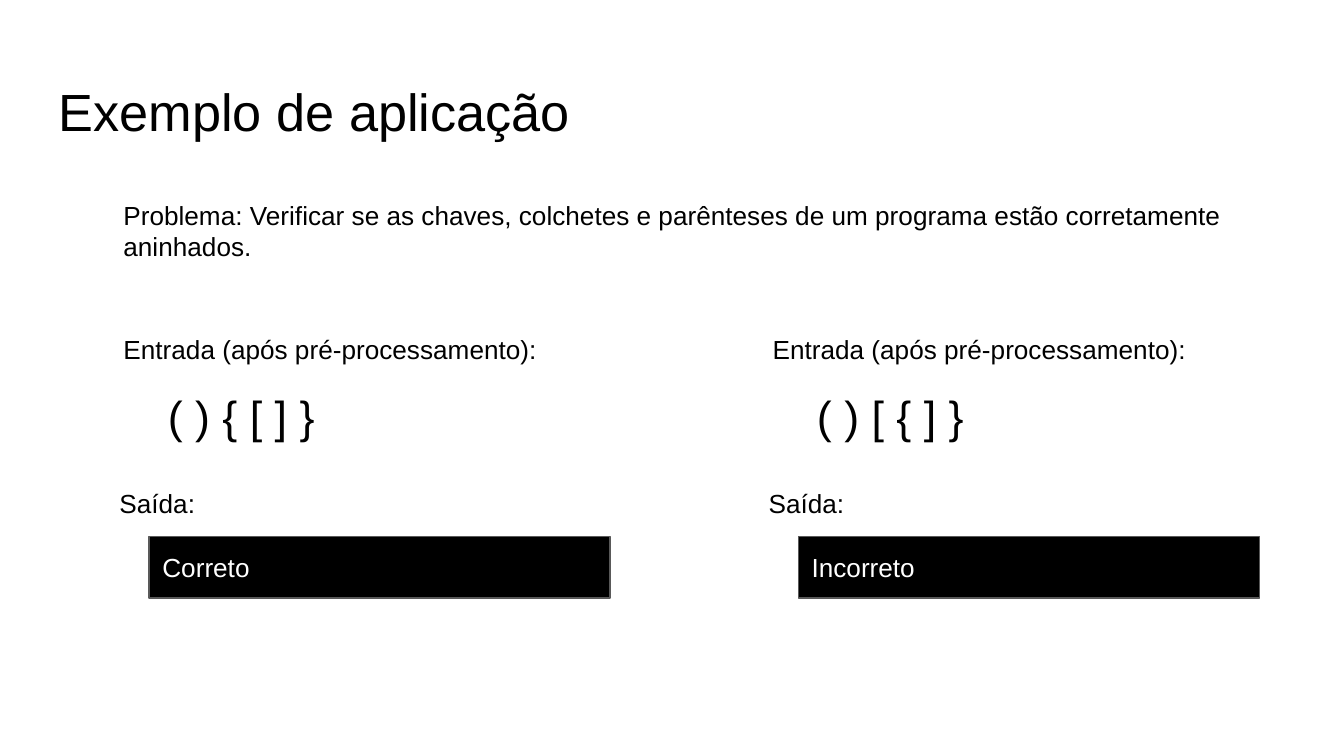
from pptx import Presentation
from pptx.dml.color import RGBColor
from pptx.enum.shapes import MSO_SHAPE as Shape
from pptx.enum.text import MSO_ANCHOR as Anchor, PP_ALIGN as Align
from pptx.util import Inches, Pt

BLACK = RGBColor(0x00, 0x00, 0x00)
WHITE = RGBColor(0xFF, 0xFF, 0xFF)
GRAY = RGBColor(0x59, 0x59, 0x59)


def write(shape, text, size=14, color=BLACK, anchor=Anchor.TOP):
    frame = shape.text_frame
    frame.word_wrap = True
    frame.vertical_anchor = anchor
    frame.margin_left = frame.margin_right = Inches(0.1)
    frame.margin_top = frame.margin_bottom = Inches(0.1)
    paragraph = frame.paragraphs[0]
    paragraph.alignment = Align.LEFT
    run = paragraph.add_run()
    run.text = text
    run.font.name = "Arial"
    run.font.size = Pt(size)
    run.font.color.rgb = color


def add_text(slide, box, text, **style):
    write(slide.shapes.add_textbox(*map(Inches, box)), text, **style)


def add_result(slide, box, text):
    result = slide.shapes.add_shape(Shape.RECTANGLE, *map(Inches, box))
    result.shadow.inherit = False
    result.fill.solid()
    result.fill.fore_color.rgb = BLACK
    result.line.color.rgb = GRAY
    result.line.width = Pt(0.75)
    write(result, text, color=WHITE, anchor=Anchor.MIDDLE)


def add_header(slide, left, top):
    add_text(slide, (left, top, 9.32, 0.63), "Exemplo de aplicação", size=28)
    add_text(slide, (left + 0.48, top + 0.89, 8.57, 0.89),
             "Problema: Verificar se as chaves, colchetes e parênteses "
             "de um programa estão corretamente aninhados.")


def add_example(slide, left, top, brackets, verdict):
    add_text(slide, (left + 0.03, top, 3.39, 0.46),
             "Entrada (após pré-processamento):")
    add_text(slide, (left + 0.36, top + 0.41, 3.39, 0.38), brackets, size=24)
    add_text(slide, (left, top + 1.15, 4.19, 0.38), "Saída:")
    add_result(slide, (left + 0.32, top + 1.61, 3.43, 0.46), verdict)


def main():
    deck = Presentation()
    deck.slide_width = Inches(10)
    deck.slide_height = deck.slide_width * 9 // 16
    slide = deck.slides.add_slide(deck.slide_layouts[6])
    add_header(slide, 0.34, 0.49)
    examples = [("( ) { [ ] }", "Correto"), ("( ) [ { ] }", "Incorreto")]
    for column, (brackets, verdict) in enumerate(examples):
        add_example(slide, 0.79 + column * 4.83, 2.38, brackets, verdict)
    deck.save("out.pptx")


if __name__ == "__main__":
    main()
